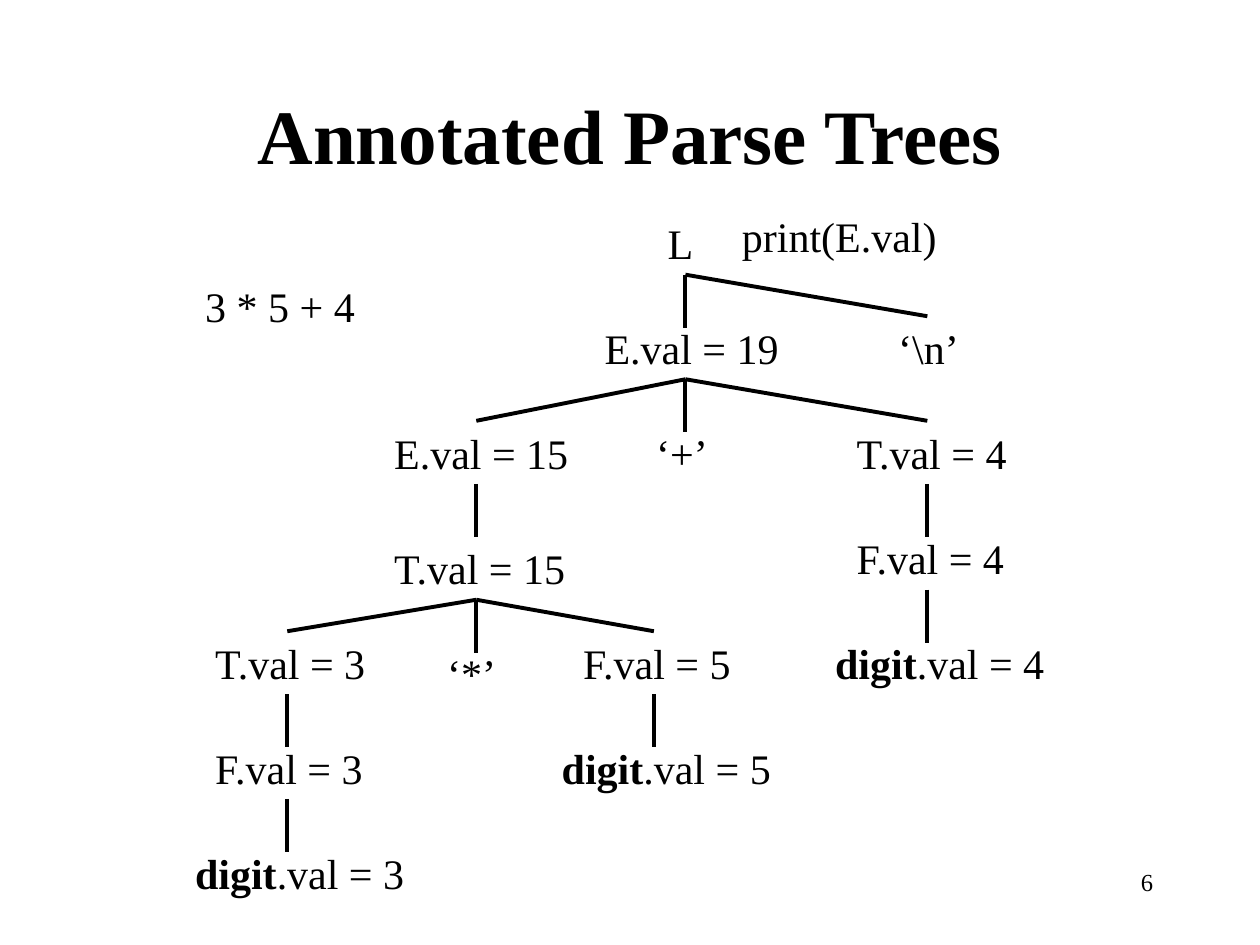
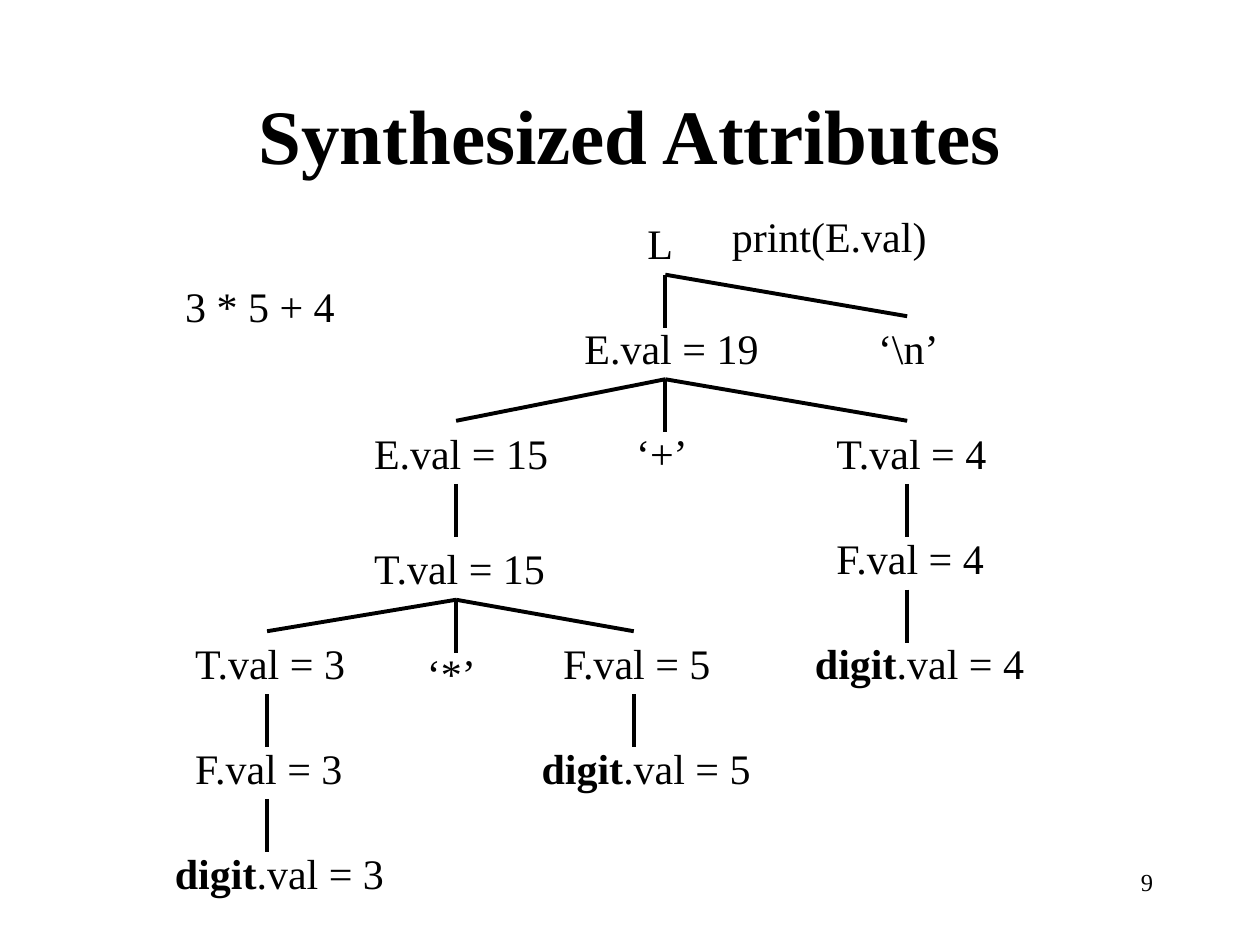
"""Build two slides that show an annotated parse tree for 3 * 5 + 4."""
from lxml.etree import SubElement
from pptx import Presentation
from pptx.dml.color import RGBColor
from pptx.enum.shapes import MSO_CONNECTOR
from pptx.enum.text import MSO_ANCHOR, MSO_AUTO_SIZE, PP_ALIGN
from pptx.oxml.ns import qn
from pptx.util import Pt

PX = 9144
COLORS = {"ink": "000000", "paper": "FFFFFF"}
FONT = "Times New Roman"
TITLE_ONLY = 5
LABEL_HEIGHT = 50
STEM = 42
ROWS = [168, 251, 334, 418, 501, 584, 668]
KEYWORD = "digit"

SLIDES = [
    {"title": "Annotated Parse Trees", "number": "6", "shift": 0, "action_left": 579},
    {"title": "Synthesized Attributes", "number": "9", "shift": -16, "action_left": 571},
]

# label, parent, left, top, width, axis where the branches meet
NODES = [
    ("L", None, 520, ROWS[0], 40, 544),
    ("E.val = 19", "L", 470, ROWS[1], 158, 544),
    ("‘\\n’", "L", 703, ROWS[1], 68, 736),
    ("E.val = 15", "E.val = 19", 303, ROWS[2], 158, 378),
    ("‘+’", "E.val = 19", 511, ROWS[2], 61, 544),
    ("T.val = 4", "E.val = 19", 670, ROWS[2], 141, 736),
    ("F.val = 4", "T.val = 4", 670, ROWS[3], 139, 736),
    ("digit.val = 4", "F.val = 4", 653, ROWS[4], 186, 736),
    ("T.val = 15", "E.val = 15", 303, 426, 158, 378),
    ("T.val = 3", "T.val = 15", 161, ROWS[4], 141, 228),
    ("‘*’", "T.val = 15", 345, 509, 59, 378),
    ("F.val = 5", "T.val = 15", 453, ROWS[4], 139, 519),
    ("digit.val = 5", "F.val = 5", 436, ROWS[5], 186, 519),
    ("F.val = 3", "T.val = 3", 161, ROWS[5], 139, 228),
    ("digit.val = 3", "F.val = 3", 145, ROWS[6], 186, 228),
]


def write_text(box, text, size=24, bold=False, align=PP_ALIGN.LEFT):
    """Fill a box with one line, with the leading keyword in bold."""
    para = box.text_frame.paragraphs[0]
    para.alignment = align
    keyword = KEYWORD if text.startswith(KEYWORD) else ""
    for part, heavy in ((keyword, True), (text.removeprefix(keyword), bold)):
        if part:
            span = para.add_run()
            span.text = part
            span.font.name = FONT
            span.font.size = Pt(size)
            span.font.bold = heavy
            span.font.color.rgb = RGBColor.from_string(COLORS["ink"])


def add_label(page, text, left, top, width, grow=True, **format):
    """Add a text box that hugs its line unless grow is off."""
    box = page.shapes.add_textbox(left * PX, top * PX, width * PX, LABEL_HEIGHT * PX)
    box.text_frame.word_wrap = not grow
    box.text_frame.auto_size = MSO_AUTO_SIZE.SHAPE_TO_FIT_TEXT if grow else MSO_AUTO_SIZE.NONE
    write_text(box, text, **format)


deck = Presentation()
deck.slide_width, deck.slide_height = 1000 * PX, 750 * PX

for content in SLIDES:
    page = deck.slides.add_slide(deck.slide_layouts[TITLE_ONLY])
    page.background.fill.solid()
    page.background.fill.fore_color.rgb = RGBColor.from_string(COLORS["paper"])

    title = page.shapes.title
    title.left, title.top, title.width, title.height = 75 * PX, 44 * PX, 850 * PX, 125 * PX
    title.text_frame.vertical_anchor = MSO_ANCHOR.MIDDLE
    title.text_frame.auto_size = MSO_AUTO_SIZE.NONE
    write_text(title, content["title"], size=44, bold=True, align=PP_ALIGN.CENTER)

    shift = content["shift"]
    joints = {}
    for label, parent, left, top, width, axis in NODES:
        add_label(page, label, left + shift, top, width)
        joints[label] = (axis + shift, top + LABEL_HEIGHT)
        if parent:
            start_x, start_y = joints[parent]
            end_x = axis + shift
            end_y = start_y + STEM if end_x == start_x else top
            branch = page.shapes.add_connector(
                MSO_CONNECTOR.STRAIGHT, start_x * PX, start_y * PX, end_x * PX, end_y * PX)
            branch.line.color.rgb = RGBColor.from_string(COLORS["ink"])
            branch.line.width = Pt(2.25)
            SubElement(branch.element.spPr, qn("a:effectLst"))

    add_label(page, "3 * 5 + 4", 153 + shift, 218, 139)
    add_label(page, "print(E.val)", content["action_left"], 162, 176)
    add_label(page, content["number"], 717, 683, 208, grow=False, size=14, align=PP_ALIGN.RIGHT)

deck.save("out.pptx")
